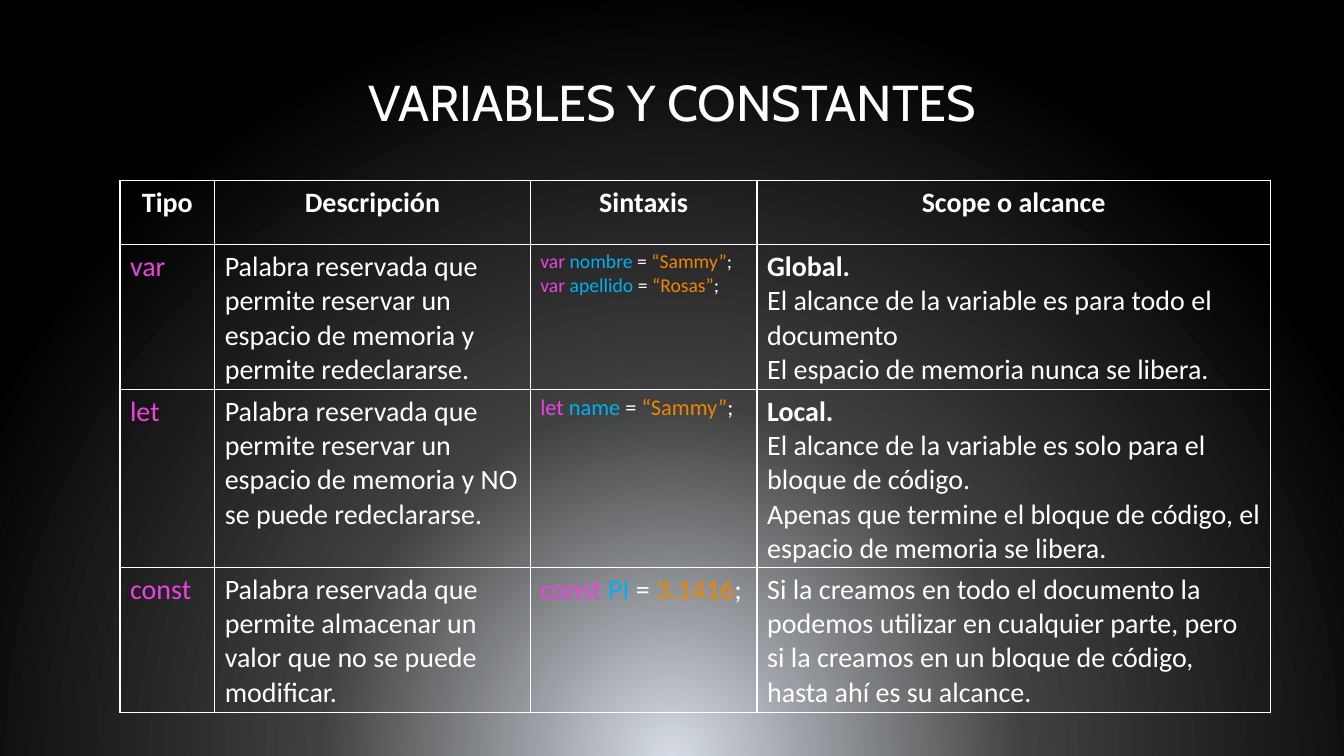
from dataclasses import dataclass

from pptx import Presentation
from pptx import util as u
from pptx.dml.color import RGBColor
from pptx.enum import text
from pptx.oxml import parse_xml
from pptx.oxml.ns import nsdecls, qn

COLORS = {
    "white": "FFFFFF",
    "keyword": "ED41E1",
    "name": "00B0F0",
    "literal": "EF8600",
    "glow": "D6DCE5",
    "gray": "404040",
    "black": "000000",
}
GLOW_STOPS = [(0, "glow"), (46, "gray"), (100, "black")]
COLUMN_WIDTHS = [67.7, 225.4, 162, 366.7]
ROW_HEIGHTS = [46, 91.4, 118, 91.4]
TABLE_LEFT, TABLE_TOP = 85.7, 128.9


@dataclass(frozen=True)
class Run:
    words: str
    color: str = "white"
    size: float = 20
    bold: bool = False
    font: str = "Calibri"


@dataclass(frozen=True)
class Declaration:
    keyword: str
    description: str
    syntax: list[list[Run]]
    scope: list[list[Run]]


def code(keyword: str, name: str, value: str, size: float) -> list[Run]:
    return [
        Run(f"{keyword} ", "keyword", size),
        Run(f"{name} ", "name", size),
        Run("= ", size=size),
        Run(value, "literal", size),
        Run(";", size=size),
    ]


def scope(heading: str, *sentences: str) -> list[list[Run]]:
    return [[Run(heading, bold=True)]] + [[Run(sentence)] for sentence in sentences]


HEADINGS = ["Tipo", "Descripción", "Sintaxis", "Scope o alcance"]
DECLARATIONS = [
    Declaration(
        "var",
        "Palabra reservada que permite reservar un espacio de memoria y permite redeclararse.",
        [code("var", "nombre", "“Sammy”", 14), code("var", "apellido", "“Rosas”", 14)],
        scope("Global.",
              "El alcance de la variable es para todo el documento",
              "El espacio de memoria nunca se libera."),
    ),
    Declaration(
        "let",
        "Palabra reservada que permite reservar un espacio de memoria y NO se puede redeclararse.",
        [code("let", "name", "“Sammy”", 16)],
        scope("Local.",
              "El alcance de la variable es solo para el bloque de código.",
              "Apenas que termine el bloque de código, el espacio de memoria se libera."),
    ),
    Declaration(
        "const",
        "Palabra reservada que permite almacenar un valor que no se puede modificar.",
        [code("const", "PI", "3.1416", 20)],
        [[Run("Si la creamos en todo el documento la podemos utilizar en cualquier parte, "
              "pero si la creamos en un bloque de código, hasta ahí es su alcance.")]],
    ),
]


def write(frame, paragraphs: list[list[Run]], **paragraph_format) -> None:
    for index, runs in enumerate(paragraphs):
        line = frame.paragraphs[0] if index == 0 else frame.add_paragraph()
        for key, value in paragraph_format.items():
            setattr(line, key, value)
        for run in runs:
            piece = line.add_run()
            piece.text = run.words
            font_format = {"name": run.font, "size": u.Pt(run.size), "bold": run.bold}
            for key, value in font_format.items():
                setattr(piece.font, key, value)
            piece.font.color.rgb = RGBColor.from_string(COLORS[run.color])


def paint_background(slide) -> None:
    slide.background.fill.gradient()
    gradient = slide.element.find(".//" + qn("a:gradFill"))
    stops = "".join(
        f'<a:gs pos="{position * 1000}"><a:srgbClr val="{COLORS[color]}"/></a:gs>'
        for position, color in GLOW_STOPS
    )
    glow = parse_xml(
        f'<a:gradFill {nsdecls("a")} rotWithShape="1"><a:gsLst>{stops}</a:gsLst>'
        '<a:path path="circle">'
        '<a:fillToRect l="50000" t="130000" r="50000" b="-30000"/>'
        "</a:path></a:gradFill>"
    )
    gradient.getparent().replace(gradient, glow)


def outline(cell) -> None:
    properties = cell._tc.get_or_add_tcPr()
    for side in ("lnL", "lnR", "lnT", "lnB"):
        properties.append(parse_xml(
            f'<a:{side} {nsdecls("a")} w="{u.Pt(1)}"><a:solidFill>'
            f'<a:srgbClr val="{COLORS["white"]}"/></a:solidFill></a:{side}>'
        ))


def add_title(slide, words: str) -> None:
    title = slide.shapes.add_textbox(u.Pt(172.8), u.Pt(39.6), u.Pt(614.9), u.Pt(71.3))
    frame_format = {"word_wrap": True, "vertical_anchor": text.MSO_ANCHOR.MIDDLE}
    for key, value in frame_format.items():
        setattr(title.text_frame, key, value)
    write(title.text_frame, [[Run(words, size=36, font="Cabin")]],
          alignment=text.PP_ALIGN.CENTER, line_spacing=0.9)


def add_declarations(slide) -> None:
    table = slide.shapes.add_table(
        len(ROW_HEIGHTS), len(COLUMN_WIDTHS), u.Pt(TABLE_LEFT), u.Pt(TABLE_TOP),
        u.Pt(sum(COLUMN_WIDTHS)), u.Pt(sum(ROW_HEIGHTS)),
    ).table
    for key in ("first_row", "horz_banding"):
        setattr(table, key, False)
    for column, width in zip(table.columns, COLUMN_WIDTHS):
        column.width = u.Pt(width)
    for row, height in zip(table.rows, ROW_HEIGHTS):
        row.height = u.Pt(height)

    # Borders and clear cells
    for cell in table.iter_cells():
        outline(cell)
        cell.fill.background()

    # Headings
    for column, heading in enumerate(HEADINGS):
        write(table.cell(0, column).text_frame, [[Run(heading, bold=True)]],
              alignment=text.PP_ALIGN.CENTER)

    # One row per kind of declaration
    for row, item in enumerate(DECLARATIONS, start=1):
        contents = [[[Run(item.keyword, "keyword")]], [[Run(item.description)]],
                    item.syntax, item.scope]
        for column, paragraphs in enumerate(contents):
            write(table.cell(row, column).text_frame, paragraphs)


def main() -> None:
    deck = Presentation()
    deck.slide_width, deck.slide_height = u.Pt(960), u.Pt(540)
    slide = deck.slides.add_slide(deck.slide_layouts[6])
    paint_background(slide)
    add_title(slide, "VARIABLES Y CONSTANTES")
    add_declarations(slide)
    deck.save("out.pptx")


if __name__ == "__main__":
    main()
